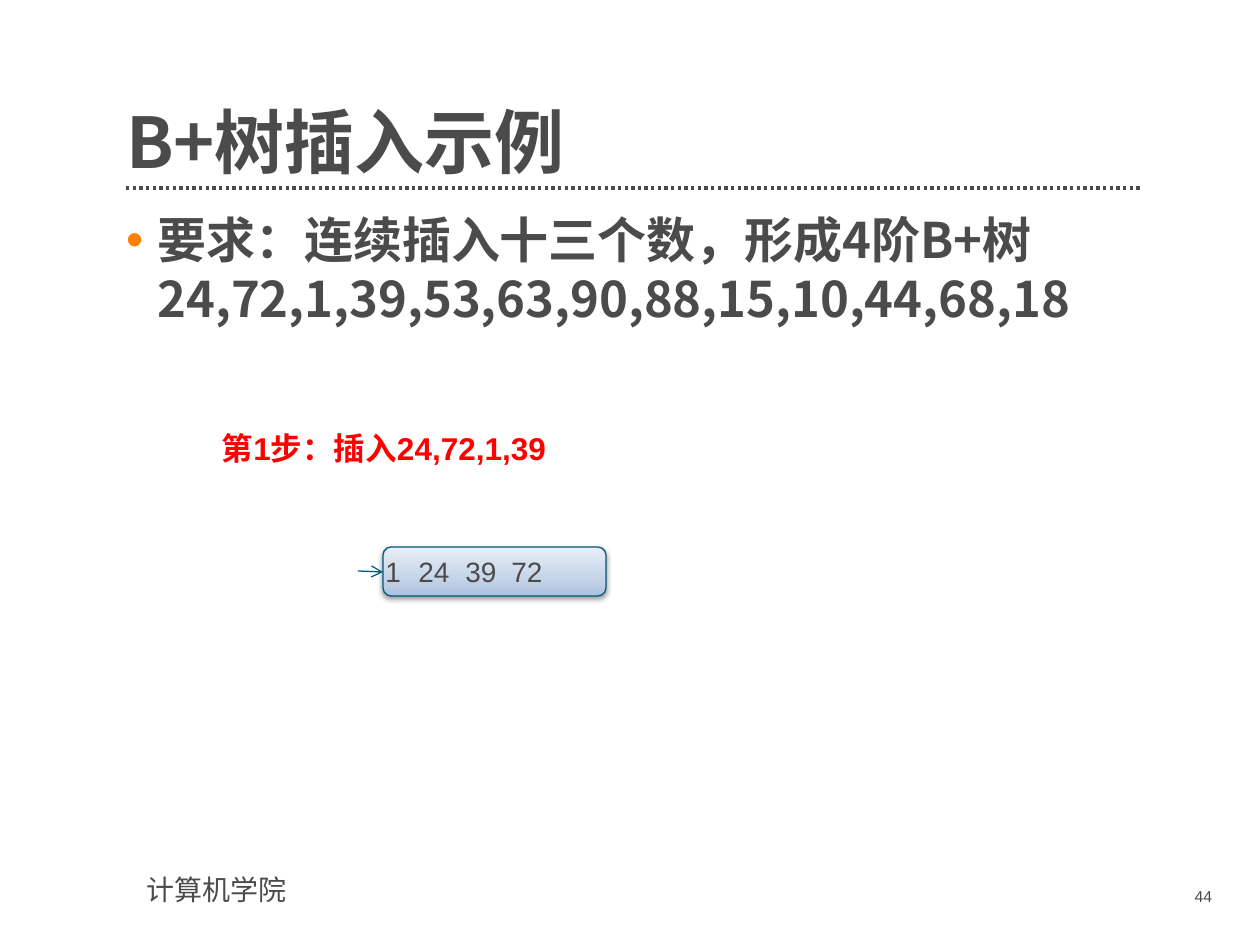
from pptx import Presentation
from pptx.dml.color import RGBColor
from pptx.enum.dml import MSO_LINE
from pptx.enum.shapes import MSO_CONNECTOR, MSO_SHAPE
from pptx.enum.text import MSO_ANCHOR, PP_ALIGN
from pptx.oxml import parse_xml
from pptx.oxml.ns import nsdecls, qn
from pptx.util import Pt
from lxml.etree import SubElement

SCALE = 914400 / 126
NOTO = "Noto Sans CJK SC"
COLORS = {
    "text": "4B4B4B", "step": "FF0000", "bullet": "FF8000",
    "edge": "005881", "arrow": "005A84", "shade": "000000",
    "low": "ACC1DF", "mid": "C5D4E7", "high": "E9EEF7",
}


def px(n):
    return round(n * SCALE)


def rgb(name):
    return RGBColor.from_string(COLORS[name])


def node(tag, body="", **attrs):
    pairs = "".join(f' {key}="{val}"' for key, val in attrs.items())
    return parse_xml(f'<a:{tag} {nsdecls("a")}{pairs}>{body}</a:{tag}>')


def color(name, body=""):
    return f'<a:srgbClr val="{COLORS[name]}">{body}</a:srgbClr>'


def write(shape, text, size, face="Arial", ink="text", bold=False,
          margins=(13, 6, 13, 6), anchor=MSO_ANCHOR.TOP,
          align=PP_ALIGN.LEFT, spacing=None, marks=()):
    frame = shape.text_frame
    sides = ("margin_left", "margin_top", "margin_right", "margin_bottom")
    layout = dict(zip(sides, map(px, margins)))
    layout.update(word_wrap=True, vertical_anchor=anchor)
    for key, val in layout.items():
        setattr(frame, key, val)
    para = frame.paragraphs[0]
    para.alignment, para.line_spacing = align, spacing
    props = para._p.get_or_add_pPr()
    for mark in marks:
        props.append(mark)
    run = para.add_run()
    run.text = text
    for key, val in dict(name=face, size=Pt(size), bold=bold).items():
        setattr(run.font, key, val)
    run.font.color.rgb = rgb(ink)
    SubElement(run._r.rPr, qn("a:ea")).set("typeface", NOTO)
    return props


def label(slide, box, text, size, **style):
    shape = slide.shapes.add_textbox(*map(px, box))
    return write(shape, text, size, **style)


def line(slide, ends, ink, width):
    link = slide.shapes.add_connector(MSO_CONNECTOR.STRAIGHT, *map(px, ends))
    link.line.color.rgb = rgb(ink)
    link.line.width = Pt(width)
    link._element.spPr.append(node("effectLst"))
    return link


def leaf(slide, box, keys, stops):
    shape = slide.shapes.add_shape(MSO_SHAPE.ROUNDED_RECTANGLE, *map(px, box))
    shape.shadow.inherit = False
    shape.line.color.rgb = rgb("edge")
    shape.line.width = Pt(0.75)
    blend = "".join(f'<a:gs pos="{pos * 1000}">{color(name)}</a:gs>'
                    for pos, name in ((0, "low"), (35, "mid"), (100, "high")))
    props = shape._element.spPr
    props.insert(2, node("gradFill", f'<a:gsLst>{blend}</a:gsLst>'
                         '<a:lin ang="16200000" scaled="0"/>', rotWithShape=1))
    props.find(qn("a:effectLst")).append(
        node("outerShdw", color("shade", '<a:alpha val="38000"/>'),
             blurRad=Pt(3.1), dist=Pt(1.6), dir=5400000, rotWithShape=0))
    tabs = "".join(f'<a:tab pos="{px(stop)}" algn="l"/>' for stop in stops)
    write(shape, "\t".join(keys), 16, margins=(0, 0, 25, 0),
          anchor=MSO_ANCHOR.MIDDLE, marks=[node("tabLst", tabs)])


def bullet(slide, box, text, size, **style):
    marks = [node("buClr", color("bullet")),
             node("buFont", typeface="Arial"), node("buChar", char="•")]
    props = label(slide, box, text, size, marks=marks, **style)
    for key, val in dict(marL=px(31.5), indent=-px(31.5)).items():
        props.set(key, str(val))


def main():
    deck = Presentation()
    deck.slide_width, deck.slide_height = px(1260), px(945)
    slide = deck.slides.add_slide(deck.slide_layouts[6])

    rule = line(slide, (126, 188, 1142, 188), "text", 1.9)
    rule.line.dash_style = MSO_LINE.ROUND_DOT
    label(slide, (134, 867, 348, 47), "计算机学院", 16)
    label(slide, (126, 69, 1016, 115), "B+树插入示例", 40, face=NOTO, bold=True,
          margins=(0, 0, 0, 0), anchor=MSO_ANCHOR.BOTTOM, spacing=0.9)
    bullet(slide, (126, 210, 1016, 630),
           "要求：连续插入十三个数，形成4阶B+树24,72,1,39,53,63,90,88,15,10,44,68,18",
           28, face=NOTO, bold=True, margins=(0, 0, 25, 0))
    label(slide, (1100, 881, 125, 37), "44", 9, align=PP_ALIGN.RIGHT)

    leaf(slide, (383, 547, 223, 49), ("1", "24", "39", "72"), (33, 80, 126))
    arrow = line(slide, (358, 571, 383, 572), "arrow", 0.75)
    arrow.line._get_or_add_ln().append(node("tailEnd", type="arrow"))
    label(slide, (209, 423, 470, 50), "第1步：插入24,72,1,39", 18,
          ink="step", bold=True)
    deck.save("out.pptx")


if __name__ == "__main__":
    main()
